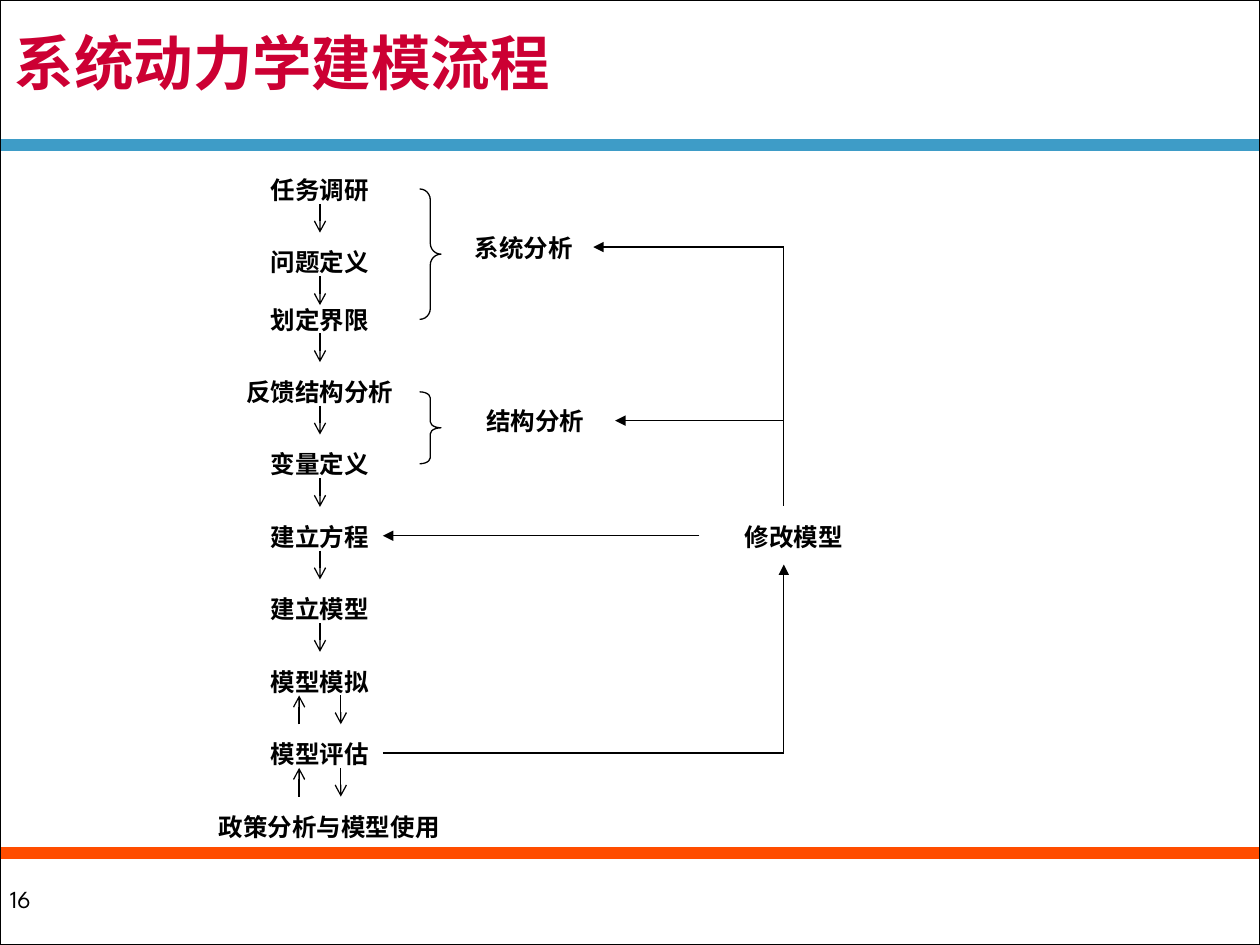
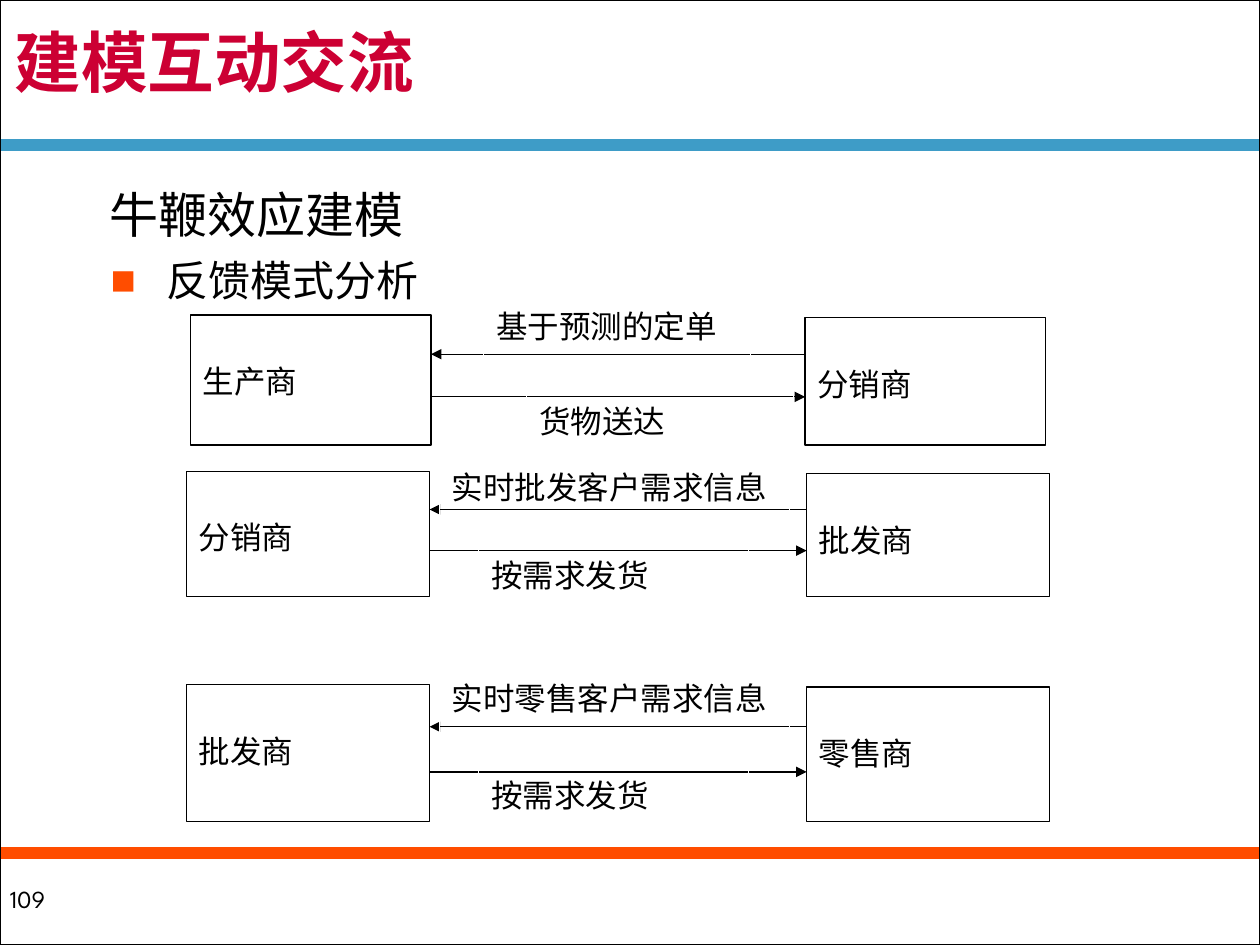
from lxml import etree
from pptx import Presentation
from pptx.dml.color import RGBColor
from pptx.enum.shapes import MSO_CONNECTOR, MSO_SHAPE
from pptx.enum.text import MSO_ANCHOR, MSO_AUTO_SIZE, PP_ALIGN
from pptx.oxml.ns import qn
from pptx.util import Cm, Pt

STRAIGHT = MSO_CONNECTOR.STRAIGHT
RECTANGLE, RIGHT_BRACE = MSO_SHAPE.RECTANGLE, MSO_SHAPE.RIGHT_BRACE
TOP, MIDDLE = MSO_ANCHOR.TOP, MSO_ANCHOR.MIDDLE
LEFT, CENTER = PP_ALIGN.LEFT, PP_ALIGN.CENTER
NO_AUTOSIZE = MSO_AUTO_SIZE.NONE

# Shared look
BLACK, WHITE, RED, BLUE, ORANGE = "000000", "FFFFFF", "CC0033", "3E9CC7", "FF4D00"
CJK_FONT, SERIF, NUMBER_FONT = "Noto Sans CJK SC", "Times New Roman", "League Spartan"
SLIDE_WIDTH, SLIDE_HEIGHT = 25.4, 19.05
THIN, BAND = 0.75, 7
NO_INSETS = (0, 0, 0, 0)
BOX_INSETS = (0.25, 0.13, 0.25, 0.13)
NODE_INSETS = (0.25, 0.95, 0.25, 0.13)

# Modelling steps: a vertical flow, the first two set a little apart
STEP_PITCH, STEP_HEIGHT, ARROW_LENGTH = 1.46, 0.58, 0.58
FLOW_CENTER, FLOW_WIDTH = 6.45, 4.24
FLOW_START, BOUNDARY_TOP = 3.53, 6.14
TWO_WAY_OFFSET = 0.42
STEPS = ["任务调研", "问题定义", "划定界限", "反馈结构分析", "变量定义",
         "建立方程", "建立模型", "模型模拟", "模型评估"]
TWO_WAY_STEPS = ("模型模拟", "模型评估")
LAST_STEP, LAST_CENTER, LAST_WIDTH = "政策分析与模型使用", 6.64, 5.51

# Supply chain pairs; label boxes are (text, left, top, width)
SUPPLY_PAIRS = [
    {"left": ("生产商", 3.84), "right": ("分销商", 16.23),
     "top": 6.35, "width": 4.85, "height": 2.62, "arrows": (7.14, 8),
     "labels": [("基于预测的定单", 9.75, 6.05, 5.38), ("货物送达", 10.62, 7.98, 5.38)]},
    {"left": ("分销商", 3.76), "right": ("批发商", 16.26),
     "top": 9.5, "width": 4.9, "height": 2.52, "arrows": (10.27, 11.1),
     "labels": [("实时批发客户需求信息", 8.86, 9.3, 7.06), ("按需求发货", 9.65, 11.07, 5.44)]},
    {"left": ("批发商", 3.76), "right": ("零售商", 16.26),
     "top": 13.8, "width": 4.9, "height": 2.76, "arrows": (14.65, 15.56),
     "labels": [("实时零售客户需求信息", 8.86, 13.56, 7.06), ("按需求发货", 9.65, 15.52, 5.44)]},
]
FLOW_LABEL_HEIGHT, RIGHT_DROP = 1.45, 0.05


def color(value):
    return RGBColor.from_string(value)


def apply(target, values):
    for name, value in values.items():
        setattr(target, name, value)


def place(shape, left, top, width, height):
    apply(shape, {"left": Cm(left), "top": Cm(top),
                  "width": Cm(width), "height": Cm(height)})


def format_frame(frame, insets, anchor):
    left, top, right, bottom = insets
    apply(frame, {"word_wrap": True, "auto_size": NO_AUTOSIZE, "vertical_anchor": anchor,
                  "margin_left": Cm(left), "margin_top": Cm(top),
                  "margin_right": Cm(right), "margin_bottom": Cm(bottom)})


def write(paragraph, text, size, font_name, hue=BLACK, bold=False,
          align=LEFT, line_spacing=1.0, space_before=0):
    apply(paragraph, {"alignment": align, "line_spacing": line_spacing,
                      "space_before": Pt(space_before), "space_after": Pt(0)})
    run = paragraph.add_run()
    run.text = text
    apply(run.font, {"size": Pt(size), "name": font_name, "bold": bold})
    run.font.color.rgb = color(hue)
    east_asian = etree.SubElement(run.font._element, qn("a:ea"))
    east_asian.set("typeface", CJK_FONT)


def add_shape(slide, kind, left, top, width, height, fill=None, line=None, weight=THIN):
    shape = slide.shapes.add_shape(kind, Cm(left), Cm(top), Cm(width), Cm(height))
    shape.shadow.inherit = False
    if fill:
        shape.fill.solid()
        shape.fill.fore_color.rgb = color(fill)
    else:
        shape.fill.background()
    if line:
        shape.line.color.rgb = color(line)
        shape.line.width = Pt(weight)
    else:
        shape.line.fill.background()
    return shape


def add_line(slide, start, end, hue=BLACK, weight=THIN, arrowhead=None):
    connector = slide.shapes.add_connector(
        STRAIGHT, Cm(start[0]), Cm(start[1]), Cm(end[0]), Cm(end[1]))
    connector.line.color.rgb = color(hue)
    connector.line.width = Pt(weight)
    if arrowhead:
        tail = etree.SubElement(connector.line._get_or_add_ln(), qn("a:tailEnd"))
        tail.set("type", arrowhead)
    etree.SubElement(connector._element.spPr, qn("a:effectLst"))


def add_label(slide, text, center, top, width):
    box = slide.shapes.add_textbox(
        Cm(center - width / 2), Cm(top), Cm(width), Cm(STEP_HEIGHT))
    format_frame(box.text_frame, NO_INSETS, TOP)
    write(box.text_frame.paragraphs[0], text, 14, SERIF, bold=True, align=CENTER)


def add_text_box(slide, text, left, top, width, height, insets, **style):
    shape = add_shape(slide, RECTANGLE, left, top, width, height, **style)
    format_frame(shape.text_frame, insets, TOP)
    write(shape.text_frame.paragraphs[0], text, 18, SERIF)


def add_brace(slide, left, top, width, height):
    brace = add_shape(slide, RIGHT_BRACE, left, top, width, height, line=BLACK)
    brace.adjustments[0] = height / 12 / width


def start_slide(presentation, layout_index, title, title_size, number):
    slide = presentation.slides.add_slide(presentation.slide_layouts[layout_index])
    # Footer with page number, bands and page frame
    footer = add_shape(slide, RECTANGLE, 0, 17.17, SLIDE_WIDTH, 1.88, fill=WHITE)
    format_frame(footer.text_frame, (0.2, 0.13, 0.25, 0.13), MIDDLE)
    write(footer.text_frame.paragraphs[0], number, 14, NUMBER_FONT)
    for top, hue in ((17.2, ORANGE), (2.92, BLUE)):
        add_line(slide, (0, top), (SLIDE_WIDTH, top), hue, BAND)
    add_shape(slide, RECTANGLE, 0, 0, SLIDE_WIDTH, SLIDE_HEIGHT, line=BLACK, weight=1)
    # Title
    place(slide.shapes.title, 0.3, 0.2, 24.9, 2.31)
    frame = slide.shapes.title.text_frame
    format_frame(frame, NO_INSETS, MIDDLE)
    write(frame.paragraphs[0], title, title_size, CJK_FONT, RED, bold=True,
          line_spacing=0.85)
    return slide


def set_bullet(paragraph, margin, indent, character=None):
    properties = paragraph._p.get_or_add_pPr()
    properties.set("marL", str(Cm(margin)))
    properties.set("indent", str(Cm(indent)))
    if not character:
        etree.SubElement(properties, qn("a:buNone"))
        return
    bullet_color = etree.SubElement(properties, qn("a:buClr"))
    etree.SubElement(bullet_color, qn("a:srgbClr")).set("val", ORANGE)
    etree.SubElement(properties, qn("a:buFont")).set("typeface", SERIF)
    etree.SubElement(properties, qn("a:buChar")).set("char", character)


def add_step_arrows(slide, step, top):
    bottom = top + ARROW_LENGTH
    if step in TWO_WAY_STEPS:
        up, down = FLOW_CENTER - TWO_WAY_OFFSET, FLOW_CENTER + TWO_WAY_OFFSET
        add_line(slide, (up, bottom), (up, top), arrowhead="arrow")
        add_line(slide, (down, top), (down, bottom), arrowhead="arrow")
    else:
        add_line(slide, (FLOW_CENTER, top), (FLOW_CENTER, bottom), arrowhead="arrow")


def build_process_slide(presentation):
    slide = start_slide(presentation, 5, "系统动力学建模流程", 34, "16")
    # Main flow
    tops = [FLOW_START, FLOW_START + STEP_PITCH]
    tops += [BOUNDARY_TOP + STEP_PITCH * index for index in range(len(STEPS) - 2)]
    for step, top in zip(STEPS, tops):
        add_label(slide, step, FLOW_CENTER, top, FLOW_WIDTH)
        add_step_arrows(slide, step, top + STEP_HEIGHT)
    add_label(slide, LAST_STEP, LAST_CENTER, tops[-1] + STEP_PITCH, LAST_WIDTH)

    # Phases
    add_brace(slide, 8.46, 3.81, 0.43, 2.63)
    add_brace(slide, 8.46, 7.9, 0.43, 1.45)
    for text, center, top in (("系统分析", 10.56, 4.7), ("结构分析", 10.79, 8.18),
                              ("修改模型", 16, 10.52)):
        add_label(slide, text, center, top, 3.4)

    # Feedback from evaluation to earlier steps
    spine = 15.8
    add_line(slide, (spine, 4.98), (spine, 10.21))
    add_line(slide, (7.72, 15.18), (spine, 15.18))
    for start, end in (((spine, 4.98), (11.96, 4.98)), ((spine, 8.48), (12.4, 8.48)),
                       ((14.1, 10.8), (7.72, 10.8)), ((spine, 15.18), (spine, 11.38))):
        add_line(slide, start, end, arrowhead="triangle")


def add_supply_pair(slide, pair):
    top, width, height = pair["top"], pair["width"], pair["height"]
    (supplier, supplier_left), (customer, customer_left) = pair["left"], pair["right"]
    for text, left, drop in ((supplier, supplier_left, 0),
                             (customer, customer_left, RIGHT_DROP)):
        add_text_box(slide, text, left, top + drop, width, height - drop,
                     NODE_INSETS, fill=WHITE, line=BLACK)
    # Orders run left, goods run right
    order_y, goods_y = pair["arrows"]
    inner_left = supplier_left + width
    arrows = (((customer_left, order_y), (inner_left, order_y)),
              ((inner_left, goods_y), (customer_left, goods_y)))
    for (start, end), (text, left, label_top, label_width) in zip(arrows, pair["labels"]):
        add_line(slide, start, end, arrowhead="triangle")
        add_text_box(slide, text, left, label_top, label_width, FLOW_LABEL_HEIGHT,
                     BOX_INSETS, line=WHITE)


def build_interaction_slide(presentation):
    slide = start_slide(presentation, 1, "建模互动交流", 38, "109")
    # Topic list
    body = slide.placeholders[1]
    place(body, 1.75, 3.91, 23, 12.6)
    frame = body.text_frame
    format_frame(frame, NO_INSETS, TOP)
    topic = frame.paragraphs[0]
    set_bullet(topic, 0.46, 0)
    write(topic, "牛鞭效应建模", 28, CJK_FONT, line_spacing=0.85)
    detail = frame.add_paragraph()
    detail.level = 1
    set_bullet(detail, 1.6, -1.12, "■")
    write(detail, "反馈模式分析", 24, CJK_FONT, line_spacing=0.85, space_before=10.5)
    # Supply chain
    for pair in SUPPLY_PAIRS:
        add_supply_pair(slide, pair)


def main():
    presentation = Presentation()
    presentation.slide_width = Cm(SLIDE_WIDTH)
    presentation.slide_height = Cm(SLIDE_HEIGHT)
    build_process_slide(presentation)
    build_interaction_slide(presentation)
    presentation.save("out.pptx")


if __name__ == "__main__":
    main()
